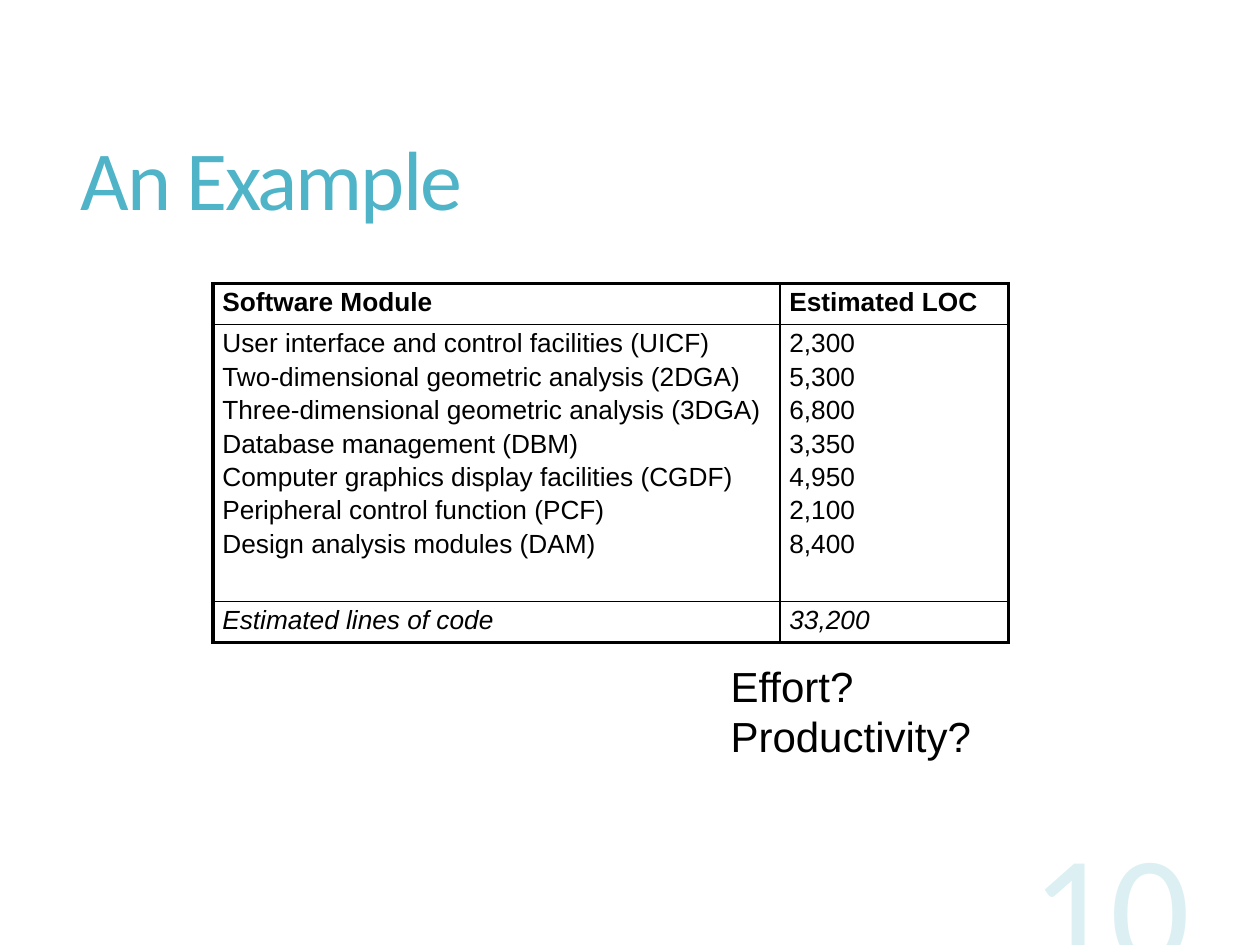
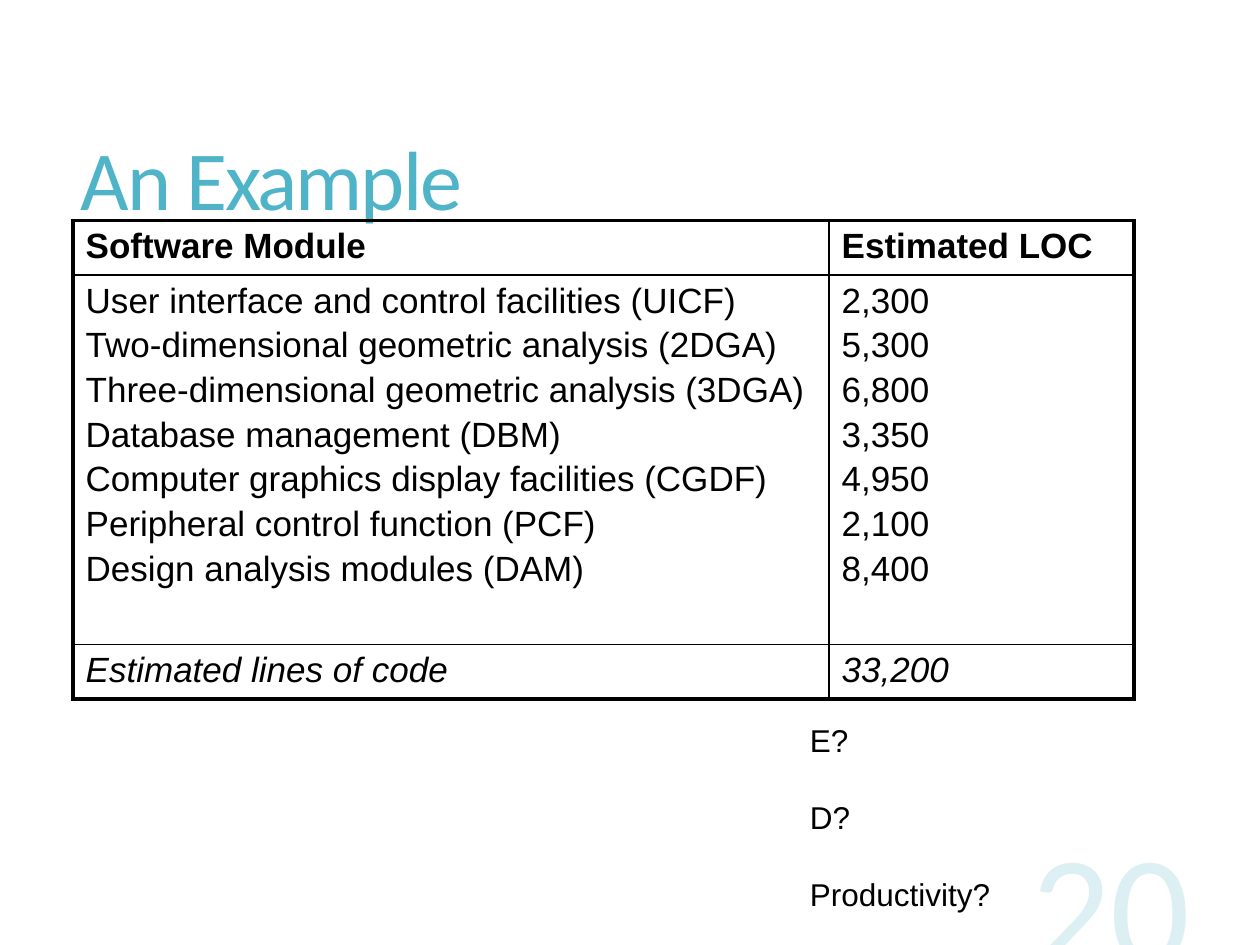
from lxml.etree import SubElement
from pptx import Presentation
from pptx.dml.color import RGBColor
from pptx.enum.text import MSO_ANCHOR, MSO_AUTO_SIZE, PP_ALIGN
from pptx.oxml.ns import qn
from pptx.util import Inches, Pt

COLORS = {"accent": "50B4C8", "text": "000000"}
TITLE_FONT, BODY_FONT = "Calibri", "Arial"

MODULES = [
    ("User interface and control facilities (UICF)", "2,300"),
    ("Two-dimensional geometric analysis (2DGA)", "5,300"),
    ("Three-dimensional geometric analysis (3DGA)", "6,800"),
    ("Database management (DBM)", "3,350"),
    ("Computer graphics display facilities (CGDF)", "4,950"),
    ("Peripheral control function (PCF)", "2,100"),
    ("Design analysis modules (DAM)", "8,400"),
]
TABLE_ROWS = [
    ("Software Module", "Estimated LOC"),
    tuple("\n".join(column) for column in zip(*MODULES)),
    ("Estimated lines of code", "33,200"),
]
FULL_TEXT_SIZE = 20
FULL_COLUMNS = (6, 2.42)
FULL_ROWS = (0.43, 2.93, 0.43)
FULL_MARGINS = (0.1, 0.05)
THICK, THIN = 2.25, 1

SLIDES = [
    {
        "title": "An Example", "number": "10",
        "table_at": (1.69, 2.25), "table_text": 15,
        "questions": ["Effort?", "Productivity?"],
        "questions_box": (5.7, 5.19, 2.17, 0.91), "questions_text": 24, "gap": 0,
    },
    {
        "title": "An Example", "number": "20",
        "table_at": (0.58, 1.75), "table_text": 20,
        "questions": ["E?", "D?", "Productivity?"],
        "questions_box": (6.33, 5.67, 2.5, 1.62), "questions_text": 18, "gap": 22.4,
    },
]


def style_paragraphs(text_frame, font_name, size, color, gap=0):
    for index, paragraph in enumerate(text_frame.paragraphs):
        paragraph.font.name = font_name
        paragraph.font.size = Pt(size)
        paragraph.font.color.rgb = RGBColor.from_string(COLORS[color])
        paragraph.space_before = Pt(gap if index else 0)


def add_text(slide, box, text):
    text_frame = slide.shapes.add_textbox(*map(Inches, box)).text_frame
    text_frame.word_wrap = True
    text_frame.text = text
    return text_frame


def add_title(slide, text):
    title = slide.shapes.title
    title.left, title.top, title.width, title.height = map(Inches, (0.54, 0.55, 8.84, 1.81))
    text_frame = title.text_frame
    text_frame.text = text
    text_frame.auto_size = MSO_AUTO_SIZE.NONE
    text_frame.vertical_anchor = MSO_ANCHOR.MIDDLE
    style_paragraphs(text_frame, TITLE_FONT, 48, "accent")
    paragraph = text_frame.paragraphs[0]
    paragraph.alignment = PP_ALIGN.LEFT
    paragraph.line_spacing = 0.9
    paragraph.runs[0].font._element.set("spc", "-120")


def add_number(slide, text):
    text_frame = add_text(slide, (7.15, 6.38, 2.4, 1.53), text)
    text_frame.vertical_anchor = MSO_ANCHOR.BOTTOM
    text_frame.margin_bottom = 0
    style_paragraphs(text_frame, TITLE_FONT, 90, "accent")
    paragraph = text_frame.paragraphs[0]
    paragraph.alignment = PP_ALIGN.RIGHT
    for color in paragraph._p.iter(qn("a:srgbClr")):
        SubElement(color, qn("a:alpha"), val="20000")


def set_borders(cell, edges):
    properties = cell._tc.get_or_add_tcPr()
    for side, is_outer in edges.items():
        width = Pt(THICK if is_outer else THIN)
        line = SubElement(properties, qn(f"a:ln{side}"), w=str(width))
        fill = SubElement(line, qn("a:solidFill"))
        SubElement(fill, qn("a:srgbClr"), val=COLORS["text"])


def add_estimates(slide, position, size):
    scale = size / FULL_TEXT_SIZE
    widths = [Inches(width * scale) for width in FULL_COLUMNS]
    heights = [Inches(height * scale) for height in FULL_ROWS]
    table = slide.shapes.add_table(
        len(heights), len(widths), *map(Inches, position), sum(widths), sum(heights)
    ).table
    table.first_row = table.horz_banding = False
    for column, width in zip(table.columns, widths):
        column.width = width
    for row, height in zip(table.rows, heights):
        row.height = height
    last_row, last_column = len(heights) - 1, len(widths) - 1
    for row, texts in enumerate(TABLE_ROWS):
        for column, text in enumerate(texts):
            cell = table.cell(row, column)
            cell.text = text
            cell.margin_left = cell.margin_right = Inches(FULL_MARGINS[0] * scale)
            cell.margin_top = cell.margin_bottom = Inches(FULL_MARGINS[1] * scale)
            style_paragraphs(cell.text_frame, BODY_FONT, size, "text", gap=0.16 * size)
            for paragraph in cell.text_frame.paragraphs:
                paragraph.font.bold = row == 0
                paragraph.font.italic = row == last_row
            set_borders(cell, {
                "L": column == 0, "R": column == last_column,
                "T": row == 0, "B": row == last_row,
            })
            cell.fill.background()


def add_questions(slide, content):
    text_frame = add_text(slide, content["questions_box"], "\n".join(content["questions"]))
    text_frame.auto_size = MSO_AUTO_SIZE.SHAPE_TO_FIT_TEXT
    style_paragraphs(text_frame, BODY_FONT, content["questions_text"], "text", content["gap"])


def main():
    presentation = Presentation()
    presentation.slide_width, presentation.slide_height = Inches(10), Inches(7.5)
    title_only = presentation.slide_layouts.get_by_name("Title Only")
    for content in SLIDES:
        slide = presentation.slides.add_slide(title_only)
        add_title(slide, content["title"])
        add_number(slide, content["number"])
        add_estimates(slide, content["table_at"], content["table_text"])
        add_questions(slide, content)
    presentation.save("out.pptx")


if __name__ == "__main__":
    main()
